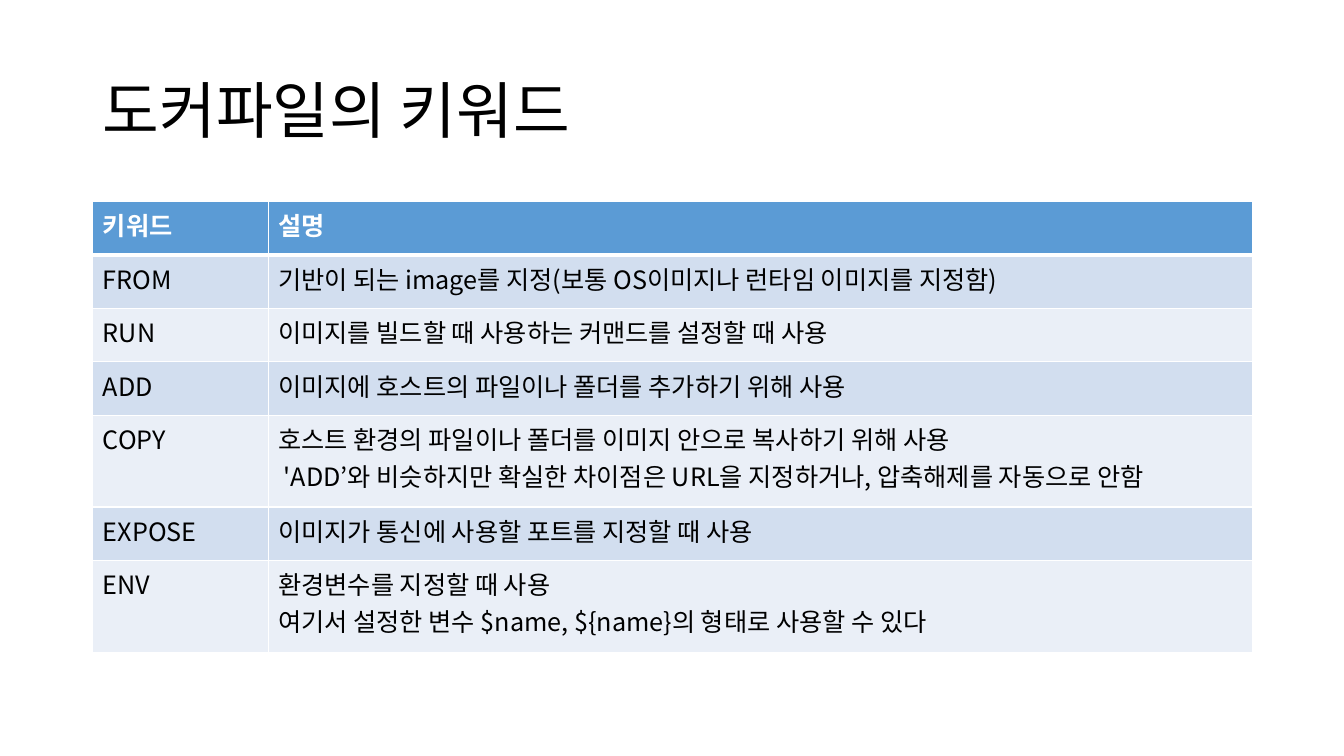
from lxml.etree import SubElement
from pptx import Presentation
from pptx.dml.color import RGBColor
from pptx.enum.text import MSO_ANCHOR
from pptx.oxml.ns import qn
from pptx.util import Inches, Pt

TITLE = "도커파일의 키워드"
HEADER = ("키워드", "설명")
KEYWORDS = [
    ("FROM", "기반이 되는 image를 지정(보통 OS이미지나 런타임 이미지를 지정함)"),
    ("RUN", "이미지를 빌드할 때 사용하는 커맨드를 설정할 때 사용"),
    ("ADD", "이미지에 호스트의 파일이나 폴더를 추가하기 위해 사용"),
    ("COPY", "호스트 환경의 파일이나 폴더를 이미지 안으로 복사하기 위해 사용\n"
             " 'ADD’와 비슷하지만 확실한 차이점은 URL을 지정하거나, 압축해제를 자동으로 안함"),
    ("EXPOSE", "이미지가 통신에 사용할 포트를 지정할 때 사용"),
    ("ENV", "환경변수를 지정할 때 사용\n"
            "여기서 설정한 변수 $name, ${name}의 형태로 사용할 수 있다"),
]
COLORS = {"text": "000000", "header_text": "FFFFFF", "header": "5B9BD5",
          "odd": "D2DEEF", "even": "EAEFF7", "border": "FFFFFF"}
FONT = "Noto Sans CJK KR"
LEFT, WIDTH = 0.92, 11.5
TITLE_TOP, TITLE_HEIGHT = 0.4, 1.45
TABLE_TOP = 2
COLUMN_WIDTHS = (1.74, 9.76)
ROW_HEIGHT, EXTRA_LINE = 0.53, 0.38


def write(paragraph, text, size, color, bold=False):
    paragraph.text = text
    font = paragraph.font
    font.size, font.bold, font.name = Pt(size), bold, FONT
    font.color.rgb = RGBColor.from_string(COLORS[color])
    properties = paragraph._p.pPr.find(qn("a:defRPr"))
    SubElement(properties, qn("a:ea"), typeface=FONT)


def add_borders(cell, top, bottom):
    """Draw the four cell borders; top and bottom are widths in points."""
    properties = cell._tc.get_or_add_tcPr()
    for side, width in (("L", 1), ("R", 1), ("T", top), ("B", bottom)):
        line = SubElement(properties, qn(f"a:ln{side}"), w=str(Pt(width)))
        fill = SubElement(line, qn("a:solidFill"))
        SubElement(fill, qn("a:srgbClr"), val=COLORS["border"])


def add_title(slide):
    title = slide.shapes.add_textbox(
        Inches(LEFT), Inches(TITLE_TOP), Inches(WIDTH), Inches(TITLE_HEIGHT)).text_frame
    title.word_wrap = True
    title.vertical_anchor = MSO_ANCHOR.MIDDLE
    title.paragraphs[0].line_spacing = 0.9
    write(title.paragraphs[0], TITLE, 44, "text")


def add_keyword_table(slide):
    rows = [HEADER, *KEYWORDS]
    heights = [ROW_HEIGHT + EXTRA_LINE * description.count("\n")
               for _, description in rows]
    table = slide.shapes.add_table(
        len(rows), len(HEADER), Inches(LEFT), Inches(TABLE_TOP),
        Inches(WIDTH), Inches(sum(heights))).table
    for column, width in zip(table.columns, COLUMN_WIDTHS):
        column.width = Inches(width)
    for r, (texts, height) in enumerate(zip(rows, heights)):
        table.rows[r].height = Inches(height)
        is_header = r == 0
        band = "header" if is_header else "odd" if r % 2 else "even"
        for c, text in enumerate(texts):
            cell = table.cell(r, c)
            add_borders(cell, top=3 if r == 1 else 1, bottom=3 if is_header else 1)
            cell.fill.solid()
            cell.fill.fore_color.rgb = RGBColor.from_string(COLORS[band])
            write(cell.text_frame.paragraphs[0], text, 18,
                  "header_text" if is_header else "text", is_header)


def main():
    presentation = Presentation()
    presentation.slide_width, presentation.slide_height = Inches(13.33), Inches(7.5)
    slide = presentation.slides.add_slide(presentation.slide_layouts[6])
    add_title(slide)
    add_keyword_table(slide)
    presentation.save("out.pptx")


if __name__ == "__main__":
    main()
